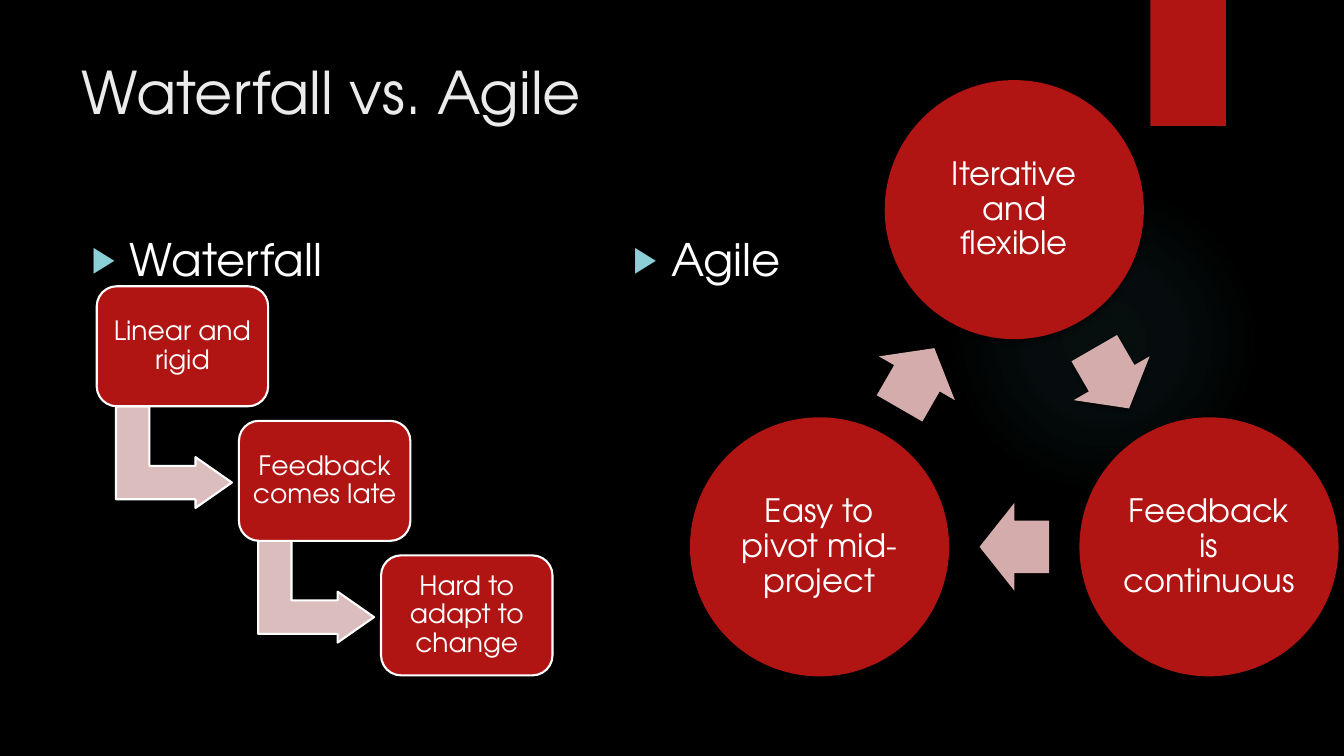
from math import cos, radians, sin

from lxml import etree
from pptx import Presentation
from pptx import util as u
from pptx.dml.color import RGBColor
from pptx.enum import shapes, text
from pptx.oxml.ns import qn

PX = 9144  # one px is a hundredth of an inch
FONT = "TeX Gyre Adventor"
BLACK = RGBColor(0x00, 0x00, 0x00)
WHITE = RGBColor(0xFF, 0xFF, 0xFF)
PALE = RGBColor(0xEB, 0xEB, 0xEB)
RED = RGBColor(0xB0, 0x15, 0x13)
PINK = RGBColor(0xDC, 0xBD, 0xBD)
ROSE = RGBColor(0xD4, 0xAC, 0xAB)
AQUA = RGBColor(0x8A, 0xD0, 0xD6)
TEAL = RGBColor(0x50, 0xB9, 0xC1)
KIND = shapes.MSO_SHAPE


def add(parent, tag, **attrs):
    """Append a DrawingML element and return it."""
    node = etree.SubElement(parent, qn("a:" + tag))
    for key, val in attrs.items():
        node.set(key, str(val))
    return node


def tint(parent, color, alpha=None):
    """Append a colour, in percent opacity when alpha is given."""
    node = add(parent, "srgbClr", val=color)
    if alpha is not None:
        add(node, "alpha", val=alpha * 1000)


class Deck:
    def __init__(self, wide, high):
        self.prs = Presentation()
        self.prs.slide_width = u.Emu(wide * PX)
        self.prs.slide_height = u.Emu(high * PX)
        self.slide = self.prs.slides.add_slide(self.prs.slide_layouts[6])
        fill = self.slide.background.fill
        fill.solid()
        fill.fore_color.rgb = BLACK

    def style(self, frame, words, size, color):
        frame.word_wrap = True
        frame.text = words
        para = frame.paragraphs[0]
        font = para.runs[0].font
        font.name, font.size, font.color.rgb = FONT, u.Pt(size), color
        return para

    def label(self, box, words, size, color):
        """Add a text box whose text starts at the top left."""
        item = self.slide.shapes.add_textbox(*(u.Emu(n * PX) for n in box))
        return self.style(item.text_frame, words, size, color)

    def bullet(self, box, words):
        para = self.label(box, words, 32, WHITE)
        props = para._p.get_or_add_pPr()
        props.set("marL", str(38 * PX))
        props.set("indent", str(-38 * PX))
        tint(add(props, "buClr"), AQUA)
        add(props, "buSzPct", val=80000)
        add(props, "buFont", typeface="Arial")
        add(props, "buChar", char="▶")

    def shape(self, kind, box, color, line=None, turn=0, adj=()):
        item = self.slide.shapes.add_shape(
            kind, *(u.Emu(round(n * PX)) for n in box))
        item.shadow.inherit = False
        item.fill.solid()
        item.fill.fore_color.rgb = color
        if line is None:
            item.line.fill.background()
        else:
            item.line.color.rgb = line
            item.line.width = u.Pt(1.5)
        item.rotation = turn
        for i, val in enumerate(adj):
            item.adjustments[i] = val
        return item

    def shade(self, item):
        """Give a shape a soft shadow below it."""
        effects = item._element.spPr.find(qn("a:effectLst"))
        shadow = add(effects, "outerShdw", blurRad=u.Pt(3), dist=u.Pt(2),
                     dir=5400000, rotWithShape=0)
        tint(shadow, BLACK, 45)

    def glow(self, box):
        """Add a round glow that fades out from its centre."""
        item = self.shape(KIND.OVAL, box, TEAL)
        props = item._element.spPr
        grad = etree.Element(qn("a:gradFill"))
        stops = add(grad, "gsLst")
        for pos, alpha in ((0, 7), (36, 6), (69, 0)):
            tint(add(stops, "gs", pos=pos * 1000), TEAL, alpha)
        add(add(grad, "path", path="circle"), "fillToRect",
            l=50000, t=50000, r=50000, b=50000)
        props.replace(props.find(qn("a:solidFill")), grad)

    def fit(self, item, words, size, inset):
        """Centre text inside a shape."""
        frame = item.text_frame
        frame.margin_left = frame.margin_right = u.Emu(inset * PX)
        frame.margin_top = frame.margin_bottom = u.Emu(inset * PX)
        frame.vertical_anchor = text.MSO_ANCHOR.MIDDLE
        para = self.style(frame, words, size, WHITE)
        para.alignment = text.PP_ALIGN.CENTER
        para.line_spacing = 0.9

    def steps(self, left, top, names):
        """Draw a staircase of boxes joined by bent arrows."""
        for i, name in enumerate(names):
            x, y = left + 141 * i, top + 133.5 * i
            if i < len(names) - 1:
                self.shape(KIND.BENT_UP_ARROW, (x + 26, y + 112, 101, 115),
                           PINK, WHITE, 90, (0.328, 0.25, 0.358))
            box = self.shape(KIND.ROUNDED_RECTANGLE, (x, y, 170, 119),
                             RED, WHITE)
            self.fit(box, name, 19, 8)

    def cycle(self, mid, high, reach, names):
        """Draw circles on a ring with an arrow between neighbours."""
        size, wide, tall = 257, 69, 87
        gap = 360 / len(names)
        for i, name in enumerate(names):
            turn = radians(gap * i - 90)
            x, y = mid + reach * cos(turn), high + reach * sin(turn)
            disc = self.shape(KIND.OVAL, (x - size / 2, y - size / 2,
                                          size, size), RED)
            self.shade(disc)
            self.fit(disc, name, 23, 3)
            turn += radians(gap / 2)
            x, y = mid + reach / 2 * cos(turn), high + reach / 2 * sin(turn)
            arrow = self.shape(KIND.RIGHT_ARROW, (x - wide / 2, y - tall / 2,
                                                  wide, tall),
                               ROSE, None, gap * (i + 0.5), (0.6, 0.5))
            self.shade(arrow)


def main():
    deck = Deck(1333, 750)

    # Backdrop
    deck.glow((941, 183, 308, 308))
    deck.shade(deck.shape(KIND.RECTANGLE, (1141, 0, 75, 125), RED))

    # Headings
    deck.label((71, 50, 1029, 153), "Waterfall vs. Agile", 42, PALE)
    for left, name in ((81, "Waterfall"), (618, "Agile")):
        deck.bullet((left, 225, 481, 459), name)

    # Waterfall steps
    deck.steps(96, 284, ("Linear and rigid", "Feedback comes late",
                         "Hard to adapt to change"))

    # Agile cycle
    deck.cycle(1006, 431, 223, ("Iterative and flexible",
                                "Feedback is continuous",
                                "Easy to pivot mid-project"))

    deck.prs.save("out.pptx")


if __name__ == "__main__":
    main()
